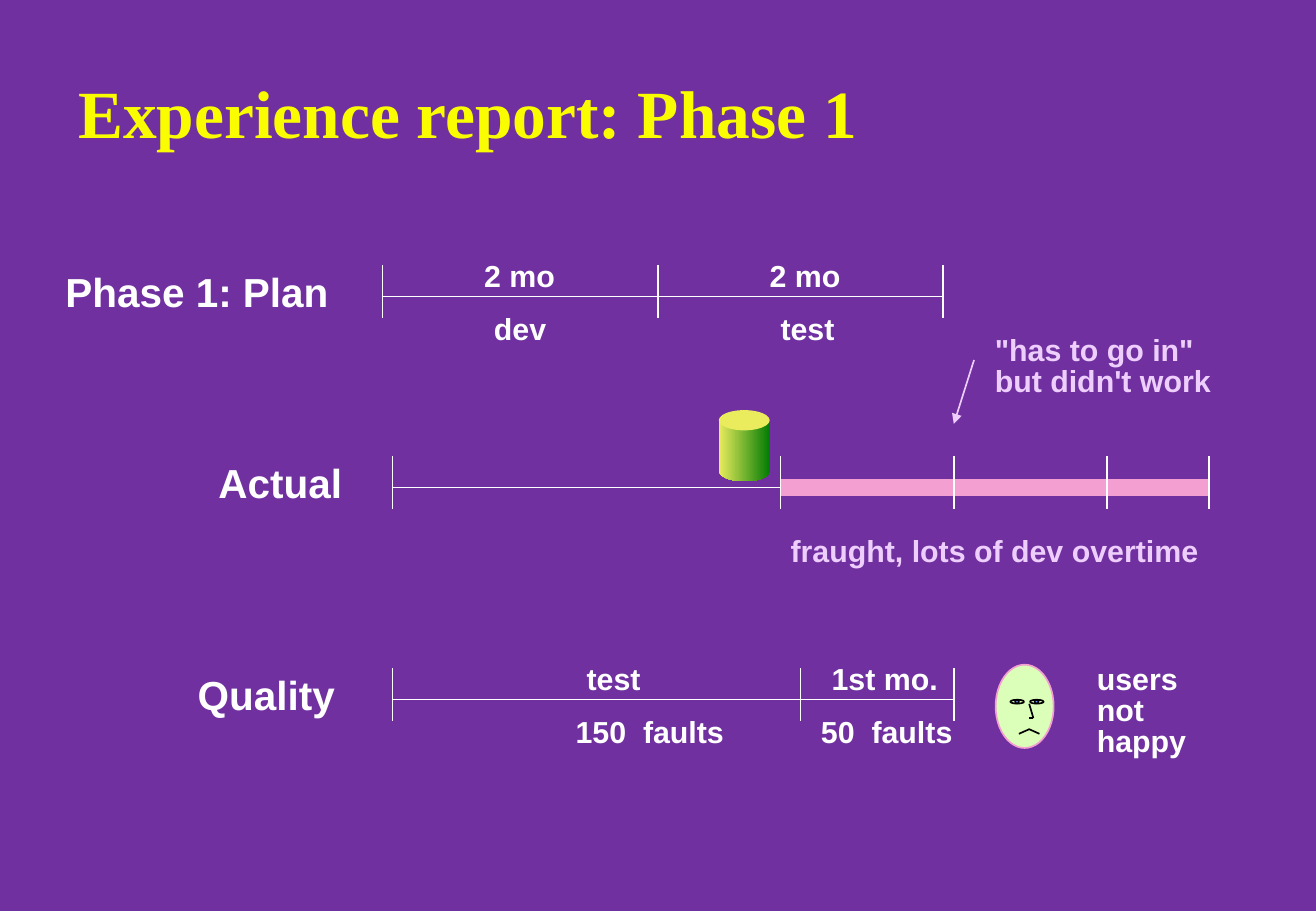
from lxml import etree
from pptx import Presentation
from pptx.dml.color import RGBColor
from pptx.enum.shapes import MSO_CONNECTOR, MSO_SHAPE
from pptx.enum.text import MSO_ANCHOR, MSO_AUTO_SIZE, PP_ALIGN
from pptx.oxml.ns import qn
from pptx.util import Pt

WHITE, LILAC, PINK, BLACK = "FFFFFF", "EDCEFC", "F39FD1", "000000"
YELLOW, GREEN, SKIN, BLUE = "EAEC5E", "037C03", "DBFFB8", "618FFD"

TITLE = "Experience report: Phase 1"

# Timelines: name, (name left, width), axis y, tick xs, overtime start,
# labels above the axis and below it as (text, left, width)
TIMELINES = [
    ("Phase 1: Plan", (33.8, 180.7), 175.7, [226.8, 390.2, 559.4], None,
     [("2 mo", 282.2, 51.8), ("2 mo", 451.4, 51.8)],
     [("dev", 288, 41), ("test", 457.9, 41.8)]),
    ("Actual", (124.6, 95.8), 288.9, [232.7, 463, 565.7, 656.4, 717.1], 463,
     [], []),
    ("Quality", (112.3, 95.8), 414.7, [232.7, 474.7, 565.7], None,
     [("test", 342.9, 41.8), ("1st mo.", 488.2, 72.7)],
     [("150  faults", 336.4, 97.9), ("50  faults", 481.9, 87.8)]),
]
# Notes: lines, left, top, width, colour
NOTES = [
    (['"has to go in"', "but didn't work"], 585, 197.3, 138.2, LILAC),
    (["fraught, lots of dev overtime"], 463.9, 316.8, 252, LILAC),
    (["users", "not", "happy"], 645.5, 392.4, 63.4, WHITE),
]
# Face: ovals as (left, top, width, height, fill, line), strokes as end points
FACE_OVALS = [
    (590.5, 394, 34.4, 49.4, SKIN, PINK),
    (599.2, 414.8, 8.2, 2.3, SKIN, BLACK),
    (610.8, 414.8, 8.2, 2.3, SKIN, BLACK),
    (602.1, 414.9, 2.2, 2, BLUE, BLACK),
    (613.7, 414.9, 2.2, 2, BLUE, BLACK),
]
FACE_STROKES = [
    (610.4, 417.2, 612.9, 425.7), (612.9, 425.7, 610.1, 425.7),
    (604.3, 435, 610.5, 432.2), (610.3, 432.2, 616.5, 435),
]
# Drum: left, top, width, height of the side, height of an end
DRUM = (426.3, 249.1, 30.2, 30.2, 12)

TICK_UP, TICK_DOWN = 18.7, 12.6
NAME_UP, LABEL_UP, LABEL_DOWN = 18, 22.3, 9.2

prs = Presentation()
prs.slide_width, prs.slide_height = Pt(780.48), Pt(540)
slide = prs.slides.add_slide(prs.slide_layouts[5])


def rgb(value):
    return RGBColor.from_string(value)


def add_run(p, text, size, color, font="Arial"):
    r = p.add_run()
    r.text = text
    r.font.name, r.font.size, r.font.bold = font, Pt(size), True
    r.font.color.rgb = rgb(color)


def add_text(lines, x, y, w, size=18, color=WHITE, spacing=0.85):
    height = 4.3 + len(lines) * size * 1.15 * spacing
    tf = slide.shapes.add_textbox(Pt(x), Pt(y), Pt(w), Pt(height)).text_frame
    tf.word_wrap = True
    tf.auto_size = MSO_AUTO_SIZE.SHAPE_TO_FIT_TEXT
    # No right inset, so that each label keeps to one line
    tf.margin_left, tf.margin_right = Pt(5), Pt(0)
    tf.margin_top = tf.margin_bottom = Pt(2.2)
    for i, line in enumerate(lines):
        p = tf.add_paragraph() if i else tf.paragraphs[0]
        p.line_spacing = spacing
        add_run(p, line, size, color)


def add_line(x1, y1, x2, y2, color=WHITE, width=1, arrow=False):
    s = slide.shapes.add_connector(
        MSO_CONNECTOR.STRAIGHT, Pt(x1), Pt(y1), Pt(x2), Pt(y2))
    s.line.color.rgb = rgb(color)
    s.line.width = Pt(width)
    if arrow:
        ln = s.line._get_or_add_ln()
        etree.SubElement(ln, qn("a:tailEnd"), type="triangle")
    etree.SubElement(s._element.spPr, qn("a:effectLst"))


def add_solid(kind, x, y, w, h, fill, line=None):
    s = slide.shapes.add_shape(kind, Pt(x), Pt(y), Pt(w), Pt(h))
    s.shadow.inherit = False
    if isinstance(fill, tuple):
        s.fill.gradient()
        s.fill.gradient_angle = 0
        for stop, color, position in zip(s.fill.gradient_stops, fill, (0, 1)):
            stop.color.rgb, stop.position = rgb(color), position
    else:
        s.fill.solid()
        s.fill.fore_color.rgb = rgb(fill)
    if line:
        s.line.color.rgb = rgb(line)
        s.line.width = Pt(1)
    else:
        s.line.fill.background()


# Background and title
slide.background.fill.solid()
slide.background.fill.fore_color.rgb = rgb("7030A0")
title = slide.shapes.title
title.left, title.top, title.width, title.height = map(Pt, (39.2, 41.8, 663, 48.2))
tf = title.text_frame
tf.auto_size = MSO_AUTO_SIZE.NONE
tf.vertical_anchor = MSO_ANCHOR.MIDDLE
tf.paragraphs[0].alignment = PP_ALIGN.LEFT
add_run(tf.paragraphs[0], TITLE, 40, "FAFD00", "Times New Roman")

# Timelines
for name, (left, width), y, ticks, overtime, above, below in TIMELINES:
    add_text([name], left, y - NAME_UP, width, 24, spacing=0.97)
    add_line(ticks[0], y, ticks[-1], y)
    if overtime:
        add_line(overtime, y, ticks[-1], y, PINK, 10)
    for x in ticks:
        add_line(x, y - TICK_UP, x, y + TICK_DOWN)
    for labels, top in ((above, y - LABEL_UP), (below, y + LABEL_DOWN)):
        for text, x, w in labels:
            add_text([text], x, top, w)

# Notes and arrow
for lines, x, y, w, color in NOTES:
    add_text(lines, x, y, w, color=color)
add_line(577.7, 213.4, 565.7, 251.3, LILAC, arrow=True)

# Unhappy face
for oval in FACE_OVALS:
    add_solid(MSO_SHAPE.OVAL, *oval)
for stroke in FACE_STROKES:
    add_line(*stroke, color=BLACK)

# Drum: bottom, side, lid
x, y, w, h, end = DRUM
add_solid(MSO_SHAPE.OVAL, x, y + h - end / 2, w, end, (YELLOW, GREEN))
add_solid(MSO_SHAPE.RECTANGLE, x, y, w, h, (YELLOW, GREEN))
add_solid(MSO_SHAPE.OVAL, x, y - end / 2, w, end, YELLOW)

prs.save("out.pptx")
